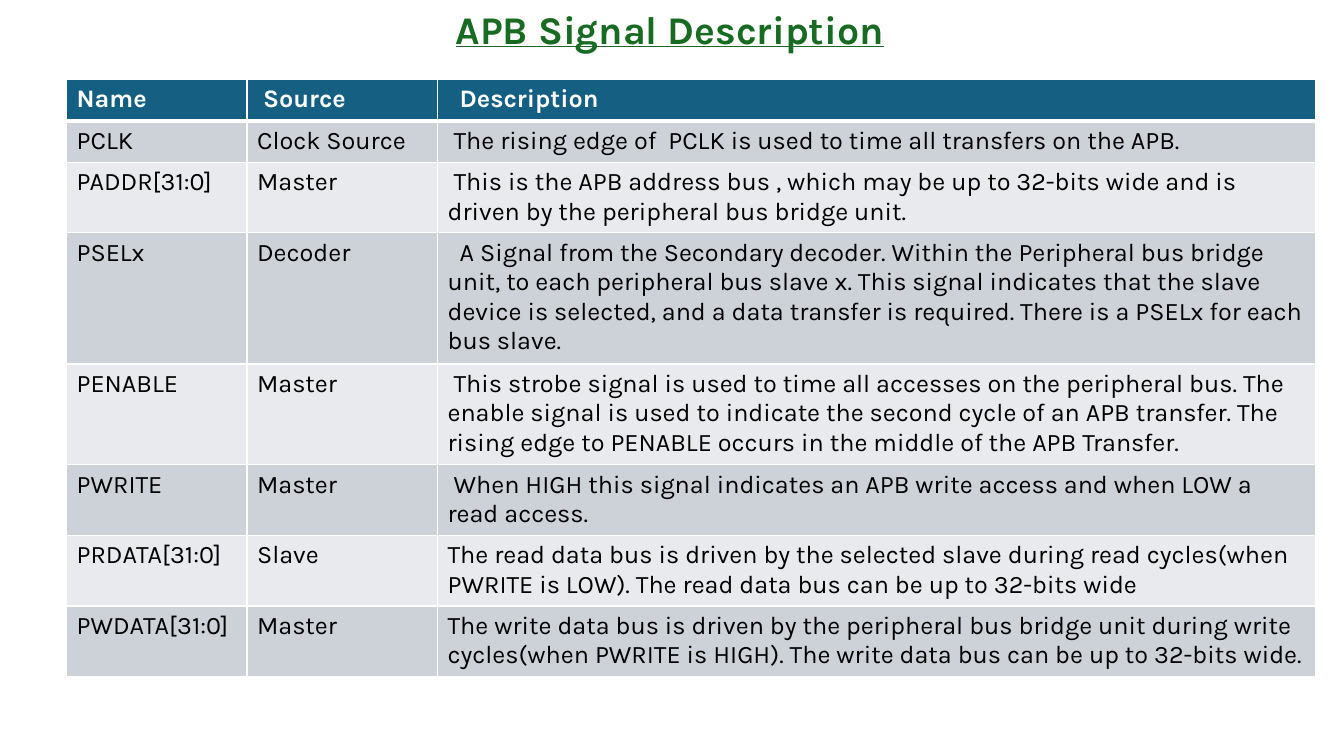
from lxml import etree
from pptx import Presentation
from pptx.dml.color import RGBColor
from pptx.enum.text import MSO_AUTO_SIZE
from pptx.oxml.ns import qn
from pptx.util import Inches, Pt

FIT_SHAPE = MSO_AUTO_SIZE.SHAPE_TO_FIT_TEXT
FONT = "Karla"
WHITE = "FFFFFF"
HEADER_FILL = "156082"
BAND_FILLS = ("CCD2D8", "E8EAED")
COLUMN_WIDTHS = (1.79, 1.89, 8.71)
ROW_HEIGHT = 0.41
SPACE = 0.06

TITLE_FORMAT = {"name": FONT, "size": Pt(28), "bold": True, "underline": True}
HEADER_FORMAT = {"name": FONT, "size": Pt(18), "bold": True}
BODY_FORMAT = {"name": FONT, "size": Pt(18), "bold": False}

HEADINGS = ("Name", "Source", "Description")
HEADING_INDENTS = (0, SPACE, 2 * SPACE)
SIGNALS = (
    ("PCLK", "Clock Source", SPACE,
     "The rising edge of  PCLK is used to time all transfers on the APB."),
    ("PADDR[31:0]", "Master", SPACE,
     "This is the APB address bus , which may be up to 32-bits wide and is "
     "driven by the peripheral bus bridge unit."),
    ("PSELx", "Decoder", 2 * SPACE,
     "A Signal from the Secondary decoder. Within the Peripheral bus bridge "
     "unit, to each peripheral bus slave x. This signal indicates that the "
     "slave device is selected, and a data transfer is required. There is a "
     "PSELx for each bus slave."),
    ("PENABLE", "Master", SPACE,
     "This strobe signal is used to time all accesses on the peripheral bus. "
     "The enable signal is used to indicate the second cycle of an APB "
     "transfer. The rising edge to PENABLE occurs in the middle of the APB "
     "Transfer."),
    ("PWRITE", "Master", SPACE,
     "When HIGH this signal indicates an APB write access and when LOW a "
     "read access."),
    ("PRDATA[31:0]", "Slave", 0,
     "The read data bus is driven by the selected slave during read "
     "cycles(when PWRITE is LOW). The read data bus can be up to 32-bits wide"),
    ("PWDATA[31:0]", "Master", 0,
     "The write data bus is driven by the peripheral bus bridge unit during "
     "write cycles(when PWRITE is HIGH). The write data bus can be up to "
     "32-bits wide."),
)


def color(value):
    return RGBColor.from_string(value)


def write_text(paragraph, text, text_color, text_format, indent=0):
    run = paragraph.add_run()
    run.text = text
    for name, value in text_format.items():
        setattr(run.font, name, value)
    run.font.color.rgb = color(text_color)
    if indent:
        paragraph._p.get_or_add_pPr().set("indent", str(Inches(indent)))


def add_borders(cell, widths):
    properties = cell._tc.get_or_add_tcPr()
    for side, width in widths.items():
        line = etree.SubElement(properties, qn(f"a:ln{side}"), w=str(Pt(width)))
        fill = etree.SubElement(line, qn("a:solidFill"))
        etree.SubElement(fill, qn("a:srgbClr"), val=WHITE)


def fill_row(cells, texts, indents, fill, text_color, text_format, borders):
    for cell, text, indent in zip(cells, texts, indents):
        add_borders(cell, borders)
        cell.fill.solid()
        cell.fill.fore_color.rgb = color(fill)
        write_text(cell.text_frame.paragraphs[0], text, text_color, text_format, indent)


def add_title(slide, left, top, width, height):
    shape = slide.shapes.add_textbox(
        Inches(left), Inches(top), Inches(width), Inches(height))
    frame = shape.text_frame
    frame.word_wrap = True
    frame.auto_size = FIT_SHAPE
    write_text(frame.paragraphs[0], "APB Signal Description", "196B24", TITLE_FORMAT)


def add_signal_table(slide, left, top):
    row_count = len(SIGNALS) + 1
    table = slide.shapes.add_table(
        row_count, len(COLUMN_WIDTHS), Inches(left), Inches(top),
        Inches(sum(COLUMN_WIDTHS)), Inches(ROW_HEIGHT * row_count)).table
    for column, width in zip(table.columns, COLUMN_WIDTHS):
        column.width = Inches(width)
    header, *body = table.rows
    fill_row(header.cells, HEADINGS, HEADING_INDENTS, HEADER_FILL, WHITE,
             HEADER_FORMAT, {"L": 1, "R": 1, "T": 1, "B": 3})
    for index, (row, signal) in enumerate(zip(body, SIGNALS)):
        name, source, indent, description = signal
        top_border = 1 if index else 3
        fill_row(row.cells, (name, source, description), (0, 0, indent),
                 BAND_FILLS[index % 2], "000000", BODY_FORMAT,
                 {"L": 1, "R": 1, "T": top_border, "B": 1})


def main():
    presentation = Presentation()
    presentation.slide_width = Inches(13.33)
    presentation.slide_height = Inches(7.5)
    slide = presentation.slides.add_slide(presentation.slide_layouts[6])
    add_title(slide, 4.42, 0, 6.67, 0.57)
    add_signal_table(slide, 0.66, 0.79)
    presentation.save("out.pptx")


if __name__ == "__main__":
    main()
